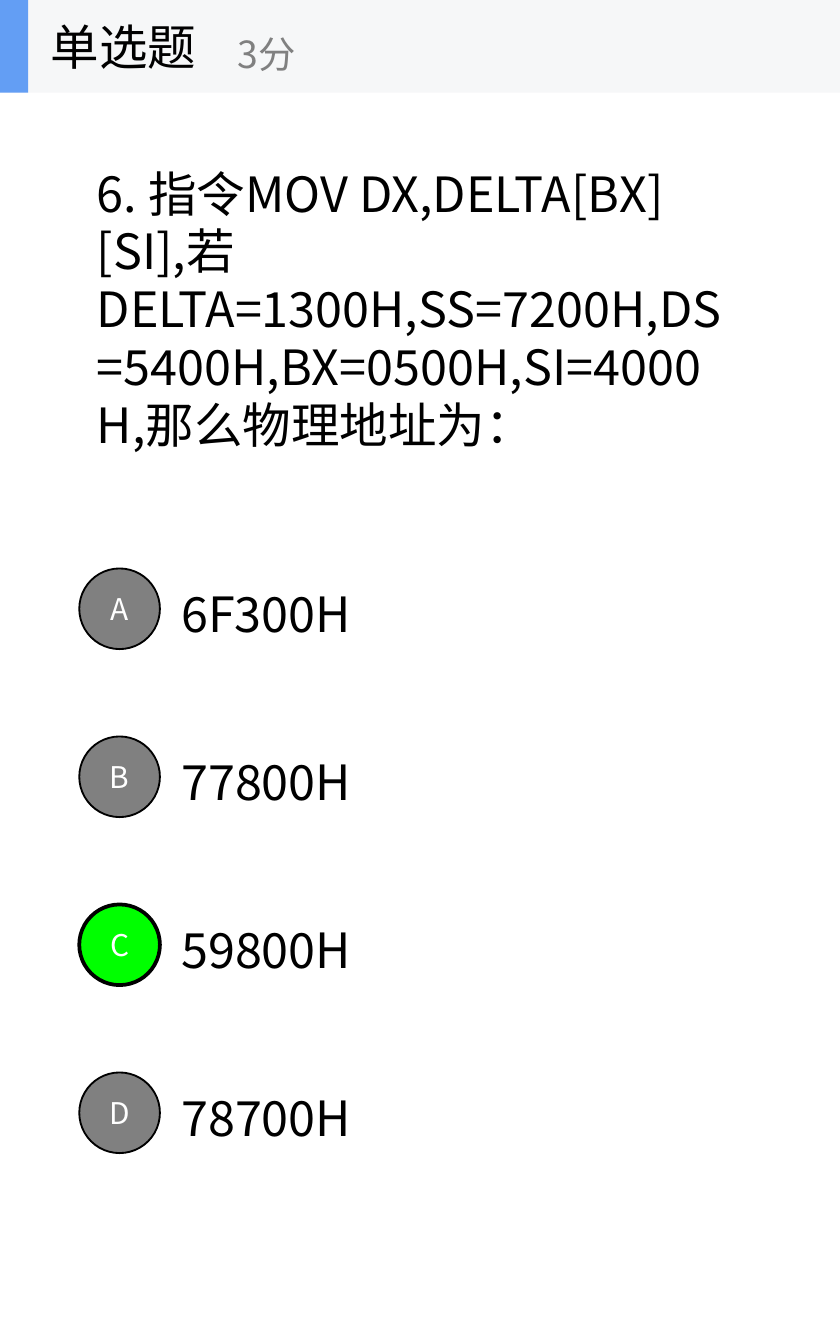
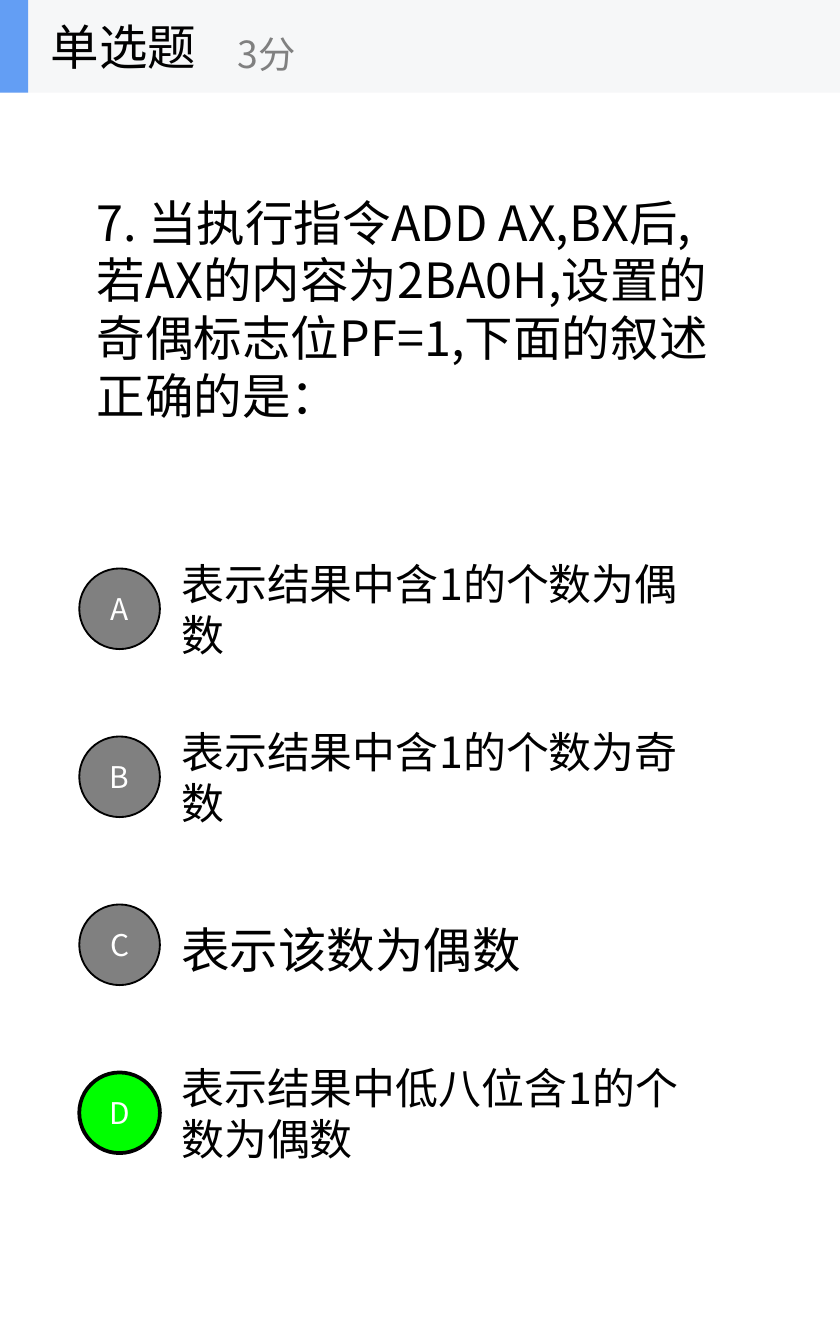
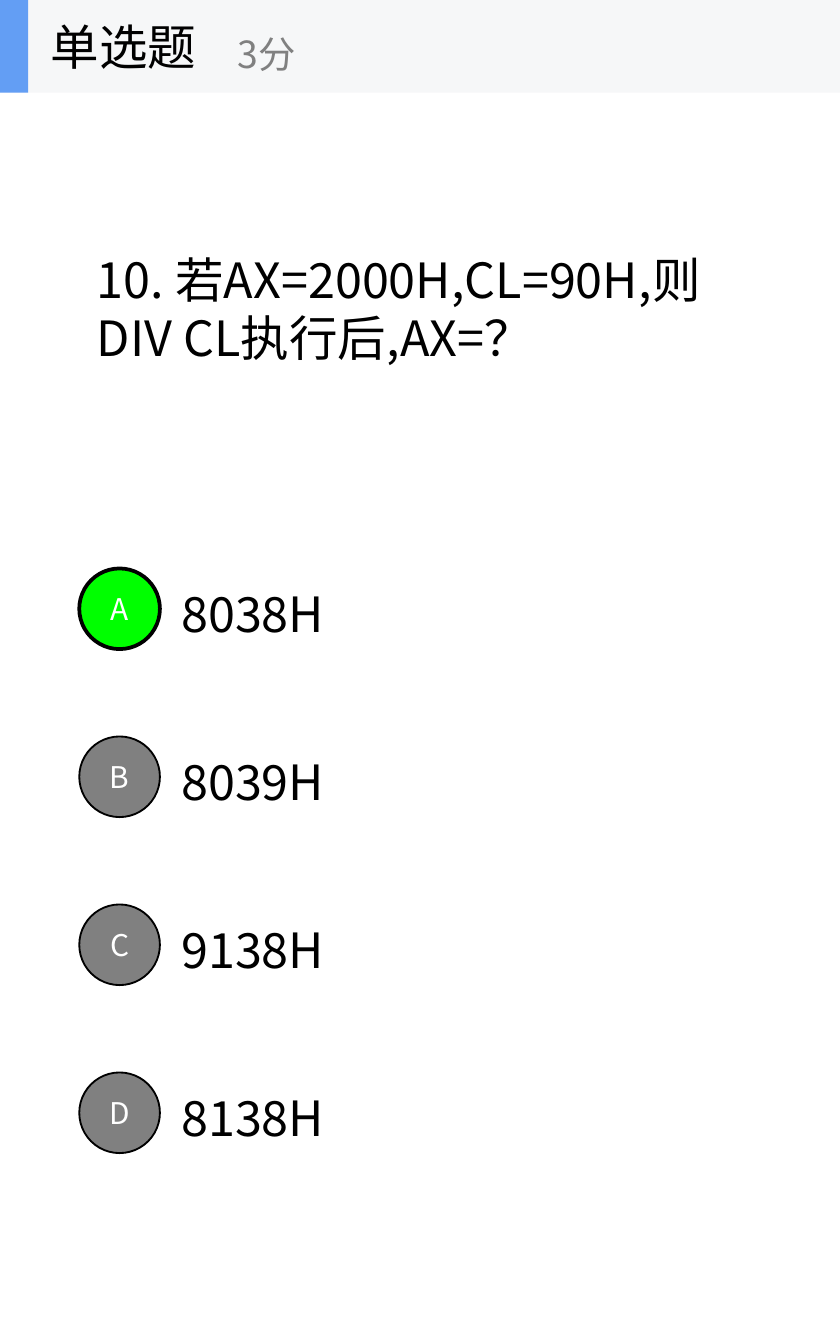
import dataclasses
import typing

import lxml.etree
import pptx
import pptx.dml.color
import pptx.enum.shapes
import pptx.enum.text
import pptx.oxml.ns
import pptx.util

EMU_PER_PX = 9144
SLIDE_WIDTH, SLIDE_HEIGHT = 625, 1000
FONT = "Noto Sans CJK SC"
COLORS = {
    "text": "000000",
    "muted": "808080",
    "band": "F6F7F8",
    "accent": "639EF4",
    "correct": "00FF00",
    "white": "FFFFFF",
}
LEFT = pptx.enum.text.PP_ALIGN.LEFT
CENTER = pptx.enum.text.PP_ALIGN.CENTER
RECTANGLE = pptx.enum.shapes.MSO_SHAPE.RECTANGLE
OVAL = pptx.enum.shapes.MSO_SHAPE.OVAL
TITLE_ONLY_LAYOUT = 5

BADGE_LEFT, BADGE_TOP, BADGE_SIZE = 59, 423, 60
OPTION_LEFT, OPTION_TOP, OPTION_PITCH = 125, 426, 125
LINE_FACTOR = 1.19


class Box(typing.NamedTuple):
    left: int
    top: int
    width: int
    height: int


@dataclasses.dataclass(frozen=True)
class TextStyle:
    size: int
    color: str = "text"
    alignment: pptx.enum.text.PP_ALIGN = LEFT


@dataclasses.dataclass(frozen=True)
class Option:
    text: str
    width: int
    height: int = 53
    rise: int = 0
    size: int = 26


@dataclasses.dataclass(frozen=True)
class Question:
    text: str
    box: Box
    options: tuple[Option, ...]
    answer: str


def long_option(text: str) -> Option:
    return Option(text, 390, height=87, rise=20, size=23)


QUESTIONS = (
    Question(
        "6. 指令MOV DX,DELTA[BX][SI],若DELTA=1300H,SS=7200H,DS=5400H,"
        "BX=0500H,SI=4000H,那么物理地址为：",
        Box(62, 111, 492, 229),
        (
            Option("6F300H", 152),
            Option("77800H", 154),
            Option("59800H", 154),
            Option("78700H", 154),
        ),
        "C",
    ),
    Question(
        "7. 当执行指令ADD AX,BX后,若AX的内容为2BA0H,"
        "设置的奇偶标志位PF=1,下面的叙述正确的是：",
        Box(62, 133, 485, 185),
        (
            long_option("表示结果中含1的个数为偶数"),
            long_option("表示结果中含1的个数为奇数"),
            Option("表示该数为偶数", 273),
            long_option("表示结果中低八位含1的个数为偶数"),
        ),
        "D",
    ),
    Question(
        "10. 若AX=2000H,CL=90H,则DIV CL执行后,AX=？",
        Box(62, 177, 499, 97),
        tuple(Option(text, 133) for text in ("8038H", "8039H", "9138H", "8138H")),
        "A",
    ),
)


def px(value: int) -> int:
    return pptx.util.Emu(value * EMU_PER_PX)


def rgb(name: str) -> pptx.dml.color.RGBColor:
    return pptx.dml.color.RGBColor.from_string(COLORS[name])


def apply_format(target: typing.Any, values: dict[str, typing.Any]) -> None:
    for name, value in values.items():
        setattr(target, name, value)


def place(shape: typing.Any, box: Box) -> None:
    apply_format(shape, {name: px(value) for name, value in box._asdict().items()})


def write_text(shape: typing.Any, text: str, style: TextStyle, wrap: bool = True) -> None:
    frame = shape.text_frame
    apply_format(frame, {
        "word_wrap": wrap,
        "auto_size": pptx.enum.text.MSO_AUTO_SIZE.NONE,
        "vertical_anchor": pptx.enum.text.MSO_ANCHOR.MIDDLE,
    })
    paragraph = frame.paragraphs[0]
    paragraph.alignment = style.alignment
    run = paragraph.add_run()
    run.text = text
    apply_format(run.font, {"name": FONT, "size": pptx.util.Pt(style.size)})
    run.font.color.rgb = rgb(style.color)
    properties = run.font._element
    east_asian = lxml.etree.SubElement(properties, pptx.oxml.ns.qn("a:ea"))
    east_asian.set("typeface", FONT)


def write_growing_text(shape: typing.Any, text: str, style: TextStyle) -> None:
    write_text(shape, text, style)
    apply_format(shape.text_frame, {
        "auto_size": pptx.enum.text.MSO_AUTO_SIZE.SHAPE_TO_FIT_TEXT,
        "margin_left": px(10),
        "margin_right": px(10),
        "margin_top": px(9),
        "margin_bottom": px(1),
    })
    shape.text_frame.paragraphs[0].line_spacing = pptx.util.Pt(style.size * LINE_FACTOR)


def add_filled_shape(shapes: typing.Any, kind: typing.Any, box: Box, fill: str) -> typing.Any:
    shape = shapes.add_shape(kind, *map(px, box))
    shape.shadow.inherit = False
    shape.fill.solid()
    shape.fill.fore_color.rgb = rgb(fill)
    shape.line.fill.background()
    return shape


def add_label(shapes: typing.Any, box: Box, text: str, style: TextStyle) -> None:
    write_text(shapes.add_textbox(*map(px, box)), text, style, wrap=False)


def add_header(slide: typing.Any) -> None:
    shapes = slide.shapes.add_group_shape().shapes
    add_filled_shape(shapes, RECTANGLE, Box(0, 0, SLIDE_WIDTH, 69), "band")
    add_filled_shape(shapes, RECTANGLE, Box(0, 0, 21, 69), "accent")
    add_label(shapes, Box(28, 0, 208, 69), "单选题", TextStyle(26))
    add_label(shapes, Box(167, 12, 250, 56), "3分", TextStyle(20, "muted"))


def add_badge(slide: typing.Any, letter: str, top: int, correct: bool) -> None:
    badge = add_filled_shape(
        slide.shapes,
        OVAL,
        Box(BADGE_LEFT, top, BADGE_SIZE, BADGE_SIZE),
        "correct" if correct else "muted",
    )
    badge.line.color.rgb = rgb("text")
    badge.line.width = pptx.util.Pt(2 if correct else 1)
    write_text(badge, letter, TextStyle(16, "white", CENTER))
    sides = ("left", "top", "right", "bottom")
    apply_format(badge.text_frame, {f"margin_{side}": 0 for side in sides})


def add_question(presentation: typing.Any, question: Question) -> None:
    slide = presentation.slides.add_slide(presentation.slide_layouts[TITLE_ONLY_LAYOUT])
    title = slide.shapes.title
    place(title, question.box)
    write_growing_text(title, question.text, TextStyle(26))
    for index, (letter, option) in enumerate(zip("ABCD", question.options)):
        offset = index * OPTION_PITCH
        box = Box(OPTION_LEFT, OPTION_TOP + offset - option.rise, option.width, option.height)
        textbox = slide.shapes.add_textbox(*map(px, box))
        write_growing_text(textbox, option.text, TextStyle(option.size))
        add_badge(slide, letter, BADGE_TOP + offset, letter == question.answer)
    add_header(slide)


def main() -> None:
    presentation = pptx.Presentation()
    apply_format(presentation, {
        "slide_width": px(SLIDE_WIDTH),
        "slide_height": px(SLIDE_HEIGHT),
    })
    for question in QUESTIONS:
        add_question(presentation, question)
    presentation.save("out.pptx")


if __name__ == "__main__":
    main()
